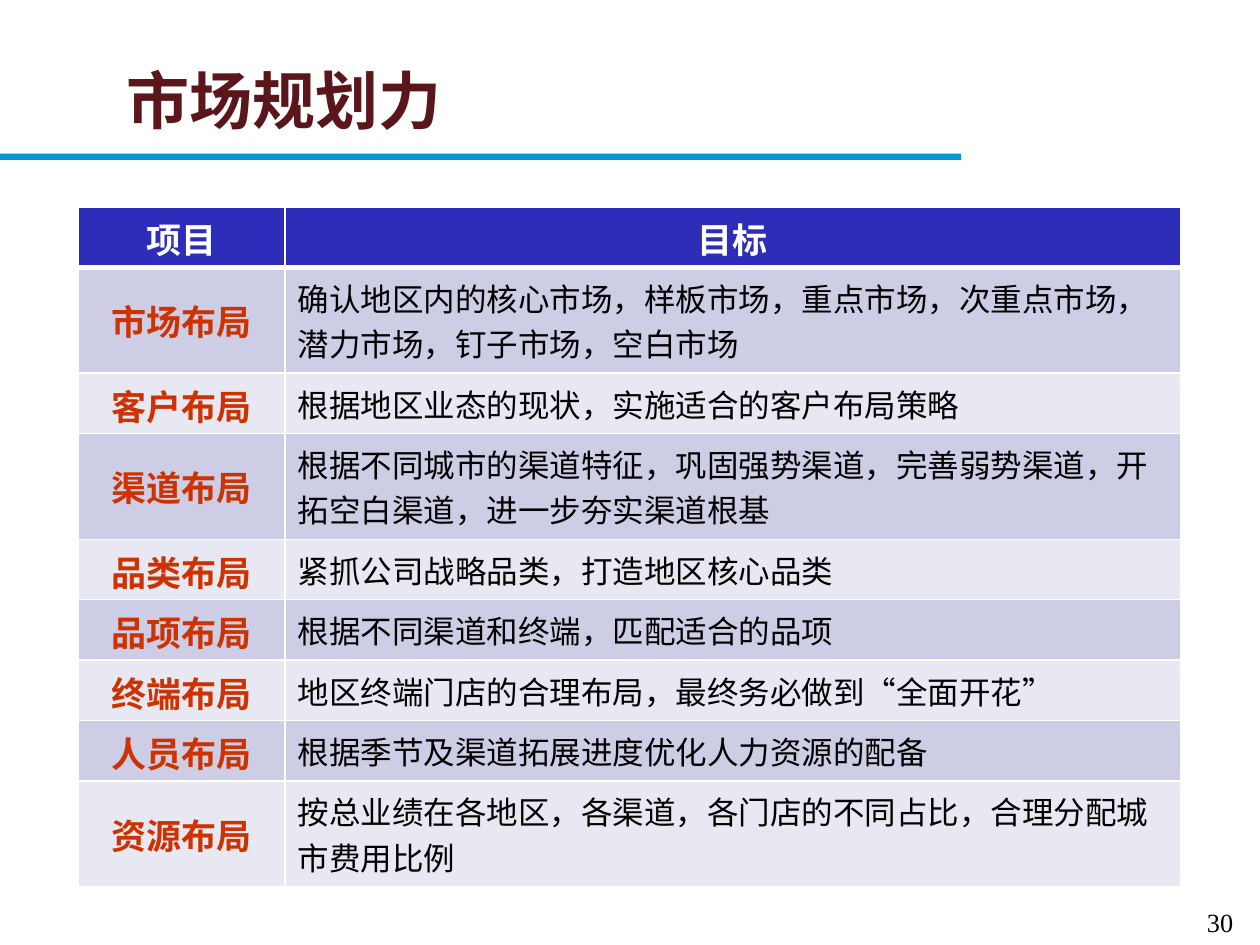
from lxml.etree import SubElement
from pptx import Presentation
from pptx.dml.color import RGBColor
from pptx.enum.lang import MSO_LANGUAGE_ID
from pptx.enum.shapes import MSO_SHAPE
from pptx.enum.text import MSO_ANCHOR, MSO_AUTO_SIZE, PP_ALIGN
from pptx.oxml.ns import qn
from pptx.util import Pt

WHITE = RGBColor(0xFF, 0xFF, 0xFF)
BLACK = RGBColor(0x00, 0x00, 0x00)
MAROON = RGBColor(0x5B, 0x16, 0x1B)
SKY = RGBColor(0x05, 0x95, 0xD4)
NAVY = RGBColor(0x2D, 0x2D, 0xB9)
ORANGE = RGBColor(0xCC, 0x33, 0x00)
BANDS = [RGBColor(0xCD, 0xCD, 0xE6), RGBColor(0xE8, 0xE8, 0xF3)]

TITLE_FORMAT = {"size": Pt(36), "bold": True, "color": MAROON}
HEADER_FORMAT = {"size": Pt(20), "bold": True, "color": WHITE}
ITEM_FORMAT = {"size": Pt(20), "bold": True, "color": ORANGE}
GOAL_FORMAT = {"size": Pt(18), "bold": False, "color": BLACK}
NUMBER_FORMAT = {"size": Pt(15), "bold": False, "color": BLACK}

SINGLE_ROW, DOUBLE_ROW = Pt(34.5), Pt(60.5)
GOALS = [
    ("市场布局", "确认地区内的核心市场，样板市场，重点市场，次重点市场，潜力市场，钉子市场，空白市场", DOUBLE_ROW),
    ("客户布局", "根据地区业态的现状，实施适合的客户布局策略", SINGLE_ROW),
    ("渠道布局", "根据不同城市的渠道特征，巩固强势渠道，完善弱势渠道，开拓空白渠道，进一步夯实渠道根基", DOUBLE_ROW),
    ("品类布局", "紧抓公司战略品类，打造地区核心品类", SINGLE_ROW),
    ("品项布局", "根据不同渠道和终端，匹配适合的品项", SINGLE_ROW),
    ("终端布局", "地区终端门店的合理布局，最终务必做到“全面开花”", SINGLE_ROW),
    ("人员布局", "根据季节及渠道拓展进度优化人力资源的配备", SINGLE_ROW),
    ("资源布局", "按总业绩在各地区，各渠道，各门店的不同占比，合理分配城市费用比例", DOUBLE_ROW),
]


def write(frame, text, text_format, align=PP_ALIGN.LEFT):
    paragraph = frame.paragraphs[0]
    paragraph.alignment = align
    run = paragraph.add_run()
    run.text = text
    run.font.name = "Times New Roman"
    run.font.language_id = MSO_LANGUAGE_ID.SIMPLIFIED_CHINESE
    for attribute, value in text_format.items():
        if attribute == "color":
            run.font.color.rgb = value
        else:
            setattr(run.font, attribute, value)


def dress_cell(cell, fill, bottom_width):
    """Give a cell white borders and a solid fill."""
    properties = cell._tc.get_or_add_tcPr()
    widths = {"a:lnL": Pt(1), "a:lnR": Pt(1), "a:lnT": Pt(1), "a:lnB": bottom_width}
    for side, width in widths.items():
        border = SubElement(properties, qn(side), w=str(width))
        SubElement(SubElement(border, qn("a:solidFill")), qn("a:srgbClr"), val=str(WHITE))
    cell.fill.solid()
    cell.fill.fore_color.rgb = fill


presentation = Presentation()
presentation.slide_width, presentation.slide_height = Pt(720), Pt(540)
slide = presentation.slides.add_slide(presentation.slide_layouts[5])

# Title and the rule below it
title = slide.shapes.title
title.left, title.top, title.width, title.height = Pt(66.2), Pt(28.8), Pt(519.8), Pt(55.4)
title_frame = title.text_frame
title_margins = {"margin_left": Pt(6), "margin_right": Pt(6), "margin_top": Pt(3), "margin_bottom": Pt(3)}
for attribute, value in title_margins.items():
    setattr(title_frame, attribute, value)
title_frame.vertical_anchor = MSO_ANCHOR.MIDDLE
title_frame.auto_size = MSO_AUTO_SIZE.NONE
write(title_frame, "市场规划力", TITLE_FORMAT)

title_rule = slide.shapes.add_shape(MSO_SHAPE.RECTANGLE, Pt(-0.7), Pt(87.8), Pt(550), Pt(3.6))
title_rule.shadow.inherit = False
title_rule.fill.solid()
title_rule.fill.fore_color.rgb = SKY
title_rule.line.fill.background()

# Page number
page_number = slide.shapes.add_textbox(Pt(684.7), Pt(514.8), Pt(28.8), Pt(23.8)).text_frame
number_format = {"margin_left": Pt(5), "margin_right": Pt(5), "margin_top": Pt(3), "margin_bottom": Pt(3),
                 "word_wrap": False, "auto_size": MSO_AUTO_SIZE.SHAPE_TO_FIT_TEXT}
for attribute, value in number_format.items():
    setattr(page_number, attribute, value)
write(page_number, "30", NUMBER_FORMAT)

# Goals table
goals = slide.shapes.add_table(len(GOALS) + 1, 2, Pt(44.9), Pt(118.2), Pt(630), Pt(388.5)).table
goals.columns[0].width, goals.columns[1].width = Pt(118), Pt(512)
goals.rows[0].height = SINGLE_ROW
for column, heading in enumerate(("项目", "目标")):
    cell = goals.cell(0, column)
    dress_cell(cell, NAVY, Pt(3))
    write(cell.text_frame, heading, HEADER_FORMAT, PP_ALIGN.CENTER)

for row, (item, goal, height) in enumerate(GOALS, start=1):
    goals.rows[row].height = height
    columns = [(item, ITEM_FORMAT, PP_ALIGN.CENTER), (goal, GOAL_FORMAT, PP_ALIGN.LEFT)]
    for column, (text, text_format, align) in enumerate(columns):
        cell = goals.cell(row, column)
        dress_cell(cell, BANDS[(row - 1) % 2], Pt(1))
        cell.vertical_anchor = MSO_ANCHOR.MIDDLE
        write(cell.text_frame, text, text_format, align)

presentation.save("out.pptx")
